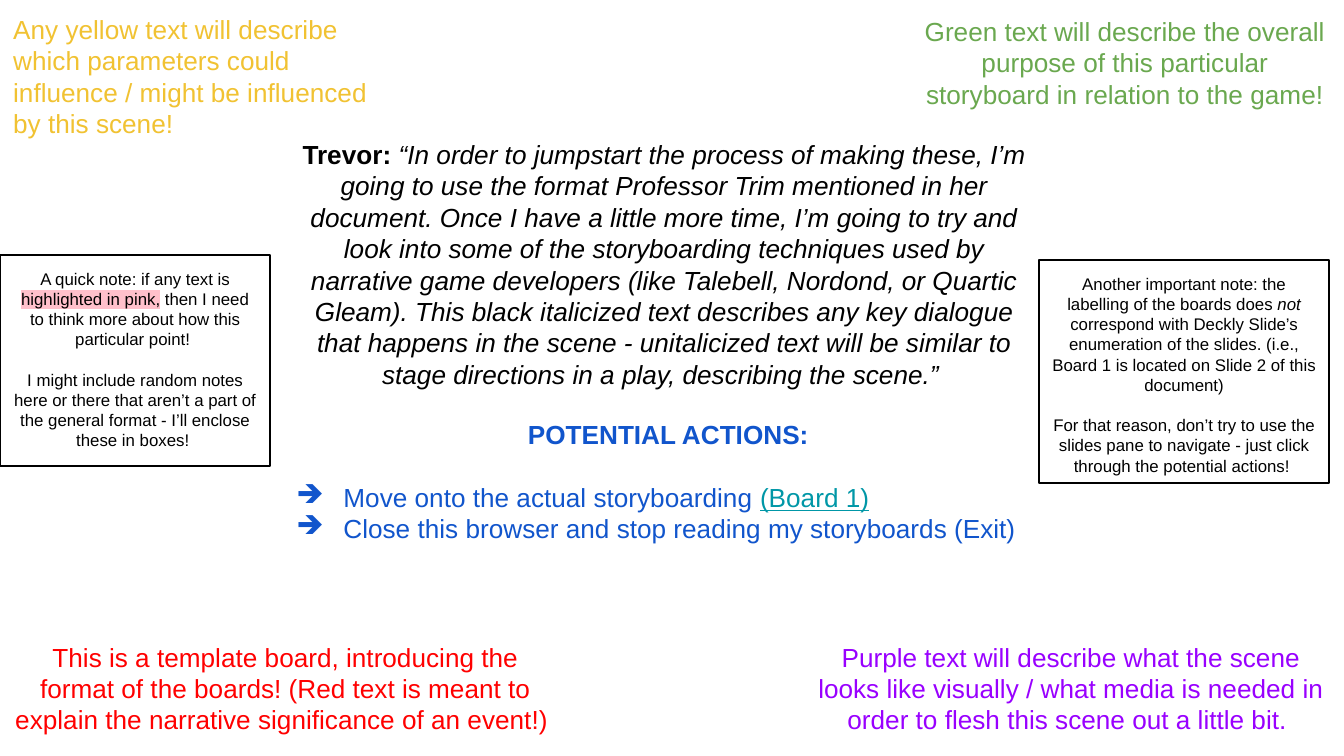
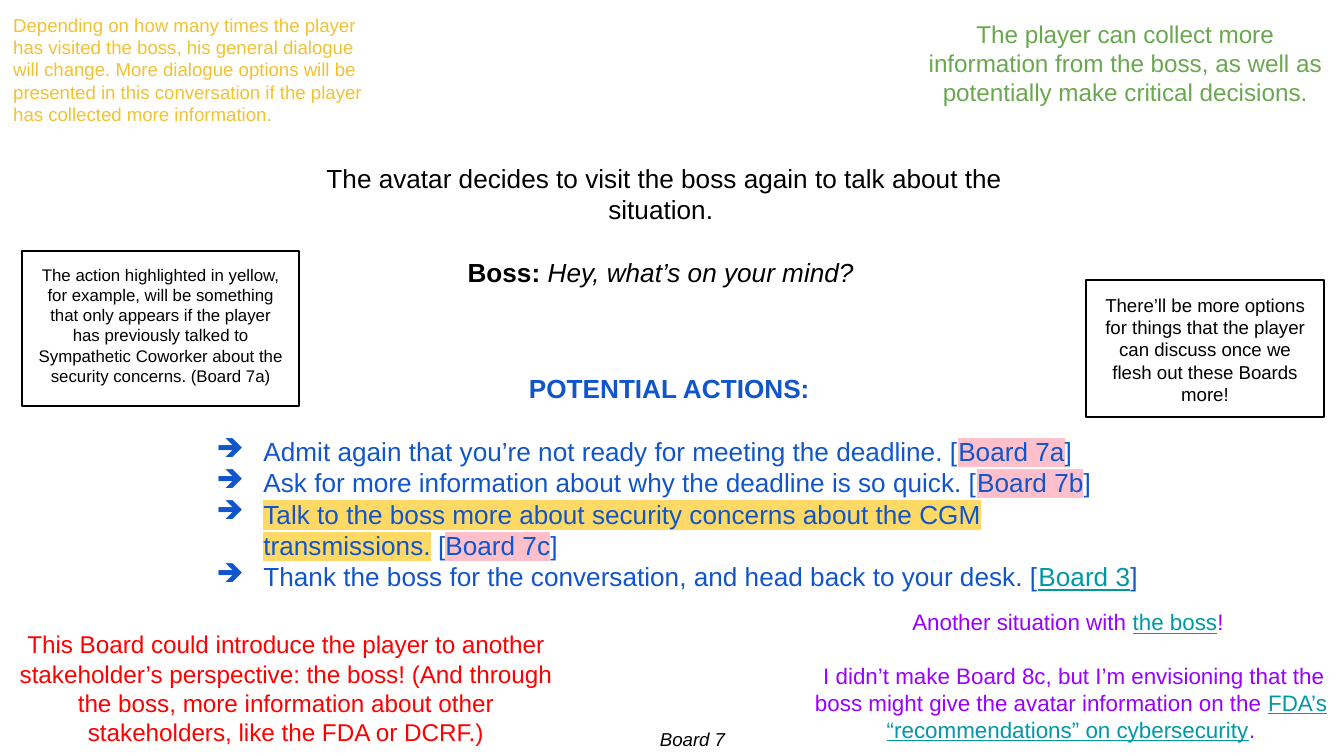
from lxml import etree
from pptx import Presentation
from pptx.dml.color import RGBColor
from pptx.enum.shapes import MSO_SHAPE
from pptx.enum.text import MSO_ANCHOR, PP_ALIGN
from pptx.oxml.ns import qn
from pptx.util import Inches, Pt

PX = 914400 / 134.4
WIDTH, HEIGHT = 1344, 756
FONT = "Arial"
LINE = 1.2  # height of a text line relative to its size
COLORS = {
    "white": "FFFFFF", "black": "000000", "yellow": "F1C232", "green": "6AA84F",
    "red": "FF0000", "purple": "9900FF", "blue": "1155CC", "link": "0097A7",
    "pink": "FFC0CB", "gold": "FFD966",
}
BOLD, ITALIC = {"bold": True}, {"italic": True}
LINK = {"color": "link", "underline": True}
PINK, GOLD = {"mark": "pink"}, {"mark": "gold"}

# Corner boxes: left, top, width, height
YELLOW_BOX = (0, 0, 394, 149)
GREEN_BOX = (906, 0, 438, 125)
RED_BOX = (0, 620, 571, 136)
PURPLE_BOX = (798, 620, 546, 136)


def px(value):
    return round(value * PX)


def rgb(name):
    return RGBColor.from_string(COLORS[name])


def add_run(paragraph, text, size, color, bold=False, italic=False,
            underline=False, mark=None):
    run = paragraph.add_run()
    run.text = text
    font = run.font
    font.name, font.size = FONT, Pt(size)
    font.bold, font.italic, font.underline = bold, italic, underline
    font.color.rgb = rgb(color)
    if mark:
        highlight = etree.Element(qn("a:highlight"))
        etree.SubElement(highlight, qn("a:srgbClr"), val=COLORS[mark])
        run._r.rPr.find(qn("a:solidFill")).addnext(highlight)


def add_arrow_bullet(paragraph, color):
    props = paragraph._p.get_or_add_pPr()
    props.set("marL", str(Inches(0.5)))
    props.set("indent", str(-Inches(0.35)))
    bullet_color = etree.SubElement(props, qn("a:buClr"))
    etree.SubElement(bullet_color, qn("a:srgbClr"), val=COLORS[color])
    etree.SubElement(props, qn("a:buChar"), char="➔")


def write(shape, paragraphs, size, color, align=PP_ALIGN.CENTER,
          anchor=MSO_ANCHOR.TOP, gaps=(), bullets_from=None):
    """Each paragraph is a list of (text, style); gaps lists those set one line lower."""
    frame = shape.text_frame
    frame.word_wrap = True
    frame.vertical_anchor = anchor
    frame.margin_left = frame.margin_right = Inches(0.1)
    frame.margin_top = frame.margin_bottom = Inches(0.1)
    for i, runs in enumerate(paragraphs):
        paragraph = frame.add_paragraph() if i else frame.paragraphs[0]
        paragraph.alignment = align
        if i in gaps:
            paragraph.space_before = Pt(LINE * size)
        if bullets_from is not None and i >= bullets_from:
            paragraph.alignment = PP_ALIGN.LEFT
            add_arrow_bullet(paragraph, color)
        for text, style in runs:
            add_run(paragraph, text, size, **{"color": color, **style})


def add_text(slide, box, paragraphs, size, color, **options):
    shape = slide.shapes.add_textbox(*map(px, box))
    write(shape, paragraphs, size, color, **options)


def add_corner(slide, box, paragraphs, size, color, **options):
    add_text(slide, box, paragraphs, size, color, anchor=MSO_ANCHOR.MIDDLE, **options)


def add_parameters(slide, text, size):
    add_text(slide, YELLOW_BOX, [[(text, {})]], size, "yellow", align=PP_ALIGN.LEFT)


def add_actions(slide, box, actions):
    heading = [("POTENTIAL ACTIONS: ", BOLD)]
    add_text(slide, box, [heading] + actions, 14, "blue", gaps=(1,), bullets_from=1)


def add_note(slide, box, paragraphs, size):
    shape = slide.shapes.add_shape(MSO_SHAPE.RECTANGLE, *map(px, box))
    shape.shadow.inherit = False
    shape.fill.background()
    shape.line.color.rgb = rgb("black")
    shape.line.width = Pt(0.75)
    write(shape, paragraphs, size, "black", gaps=(1,))


def new_board(prs):
    slide = prs.slides.add_slide(prs.slide_layouts[6])
    slide.background.fill.solid()
    slide.background.fill.fore_color.rgb = rgb("white")
    return slide


def build_template_board(prs):
    slide = new_board(prs)
    # Purpose, dialogue and actions
    add_corner(slide, GREEN_BOX, [[(
        "Green text will describe the overall purpose of this particular "
        "storyboard in relation to the game!", {})]], 14, "green")
    add_text(slide, (285, 125, 759, 269), [[("Trevor: ", BOLD), (
        "“In order to jumpstart the process of making these, I’m going to use the "
        "format Professor Trim mentioned in her document. Once I have a little more "
        "time, I’m going to try and look into some of the storyboarding techniques "
        "used by narrative game developers (like Talebell, Nordond, or Quartic "
        "Gleam). This black italicized text describes any key dialogue that happens "
        "in the scene - unitalicized text will be similar to stage directions in a "
        "play, describing the scene.” ", ITALIC)]], 14, "black")
    add_actions(slide, (263, 405, 818, 155), [
        [("Move onto the actual storyboarding ", {}), ("(Board 1)", LINK)],
        [("Close this browser and stop reading my storyboards (Exit)", {})],
    ])
    # Significance, visuals and parameters
    add_corner(slide, RED_BOX, [[(
        "This is a template board, introducing the format of the boards! (Red text "
        "is meant to explain the narrative significance of an event!) ", {})]], 14, "red")
    add_corner(slide, PURPLE_BOX, [[(
        "Purple text will describe what the scene looks like visually / what media "
        "is needed in order to flesh this scene out a little bit. ", {})]], 14, "purple")
    add_parameters(slide, "Any yellow text will describe which parameters could "
                   "influence / might be influenced by this scene! ", 14)
    # Boxed notes
    add_note(slide, (0, 255, 270, 211), [
        [("A quick note: if any text is ", {}), ("highlighted in pink,", PINK),
         (" then I need to think more about how this particular point! ", {})],
        [("I might include random notes here or there that aren’t a part of the "
          "general format - I’ll enclose these in boxes! ", {})],
    ], 9)
    add_note(slide, (1039, 260, 290, 223), [
        [("Another important note: the labelling of the boards does ", {}),
         ("not ", ITALIC),
         ("correspond with Deckly Slide’s enumeration of the slides. (i.e., Board 1 "
          "is located on Slide 2 of this document)", {})],
        [("For that reason, don’t try to use the slides pane to navigate - just "
          "click through the potential actions! ", {})],
    ], 9)


def build_boss_board(prs):
    slide = new_board(prs)
    # Purpose and dialogue
    add_corner(slide, GREEN_BOX, [[(
        "The player can collect more information from the boss, as well as "
        "potentially make critical decisions.", {})]], 13, "green")
    add_text(slide, (285, 149, 759, 155), [
        [("The avatar decides to visit the boss again to talk about the situation. ", {})],
        [("Boss: ", BOLD), ("Hey, what’s on your mind? ", ITALIC)],
    ], 14, "black", gaps=(1,))
    # Significance, visuals and parameters
    add_corner(slide, RED_BOX, [[(
        "This Board could introduce the player to another stakeholder’s perspective: "
        "the boss! (And through the boss, more information about other stakeholders, "
        "like the FDA or DCRF.)", {})]], 13, "red")
    add_corner(slide, (798, 595, 546, 161), [
        [("Another situation with ", {}), ("the boss", LINK), ("! ", {})],
        [(" I didn’t make Board 8c, but I’m envisioning that the boss might give the "
          "avatar information on the ", {}),
         ("FDA’s “recommendations” on cybersecurity", LINK), (".", {})],
    ], 12, "purple", gaps=(1,))
    add_parameters(slide, "Depending on how many times the player has visited the boss, "
                   "his general dialogue will change. More dialogue options will be "
                   "presented in this conversation if the player has collected more "
                   "information.", 10)
    # Actions
    add_actions(slide, (183, 359, 980, 270), [
        [("Admit again that you’re not ready for meeting the deadline. [", {}),
         ("Board 7a", PINK), ("]", {})],
        [("Ask for more information about why the deadline is so quick. [", {}),
         ("Board 7b", PINK), ("]", {})],
        [("Talk to the boss more about security concerns about the CGM transmissions.",
          GOLD), (" [", {}), ("Board 7c", PINK), ("] ", {})],
        [("Thank the boss for the conversation, and head back to your desk. [", {}),
         ("Board 3", LINK), ("]", {})],
    ])
    # Boxed notes
    add_note(slide, (22, 251, 277, 155), [[(
        "The action highlighted in yellow, for example, will be something that only "
        "appears if the player has previously talked to Sympathetic Coworker about "
        "the security concerns. (Board 7a)", {})]], 9)
    add_note(slide, (1086, 280, 238, 137), [[(
        "There’ll be more options for things that the player can discuss once we "
        "flesh out these Boards more!", {})]], 10)
    # Board label
    add_corner(slide, (605, 723, 175, 32), [[("Board 7", ITALIC)]], 10, "black")


prs = Presentation()
prs.slide_width, prs.slide_height = px(WIDTH), px(HEIGHT)
build_template_board(prs)
build_boss_board(prs)
prs.save("out.pptx")
